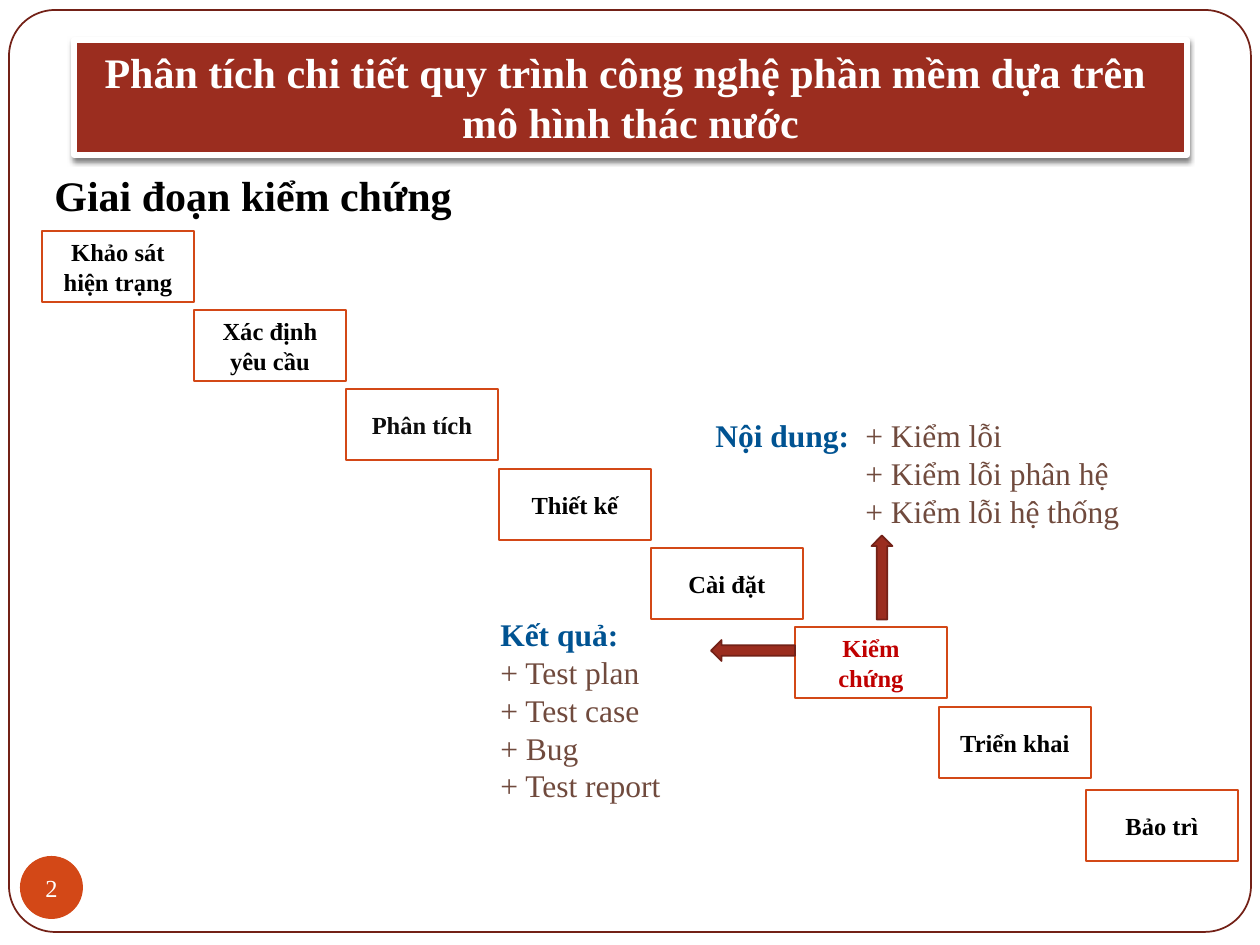
import pptx
import pptx.dml.color
import pptx.enum.shapes
import pptx.enum.text
import pptx.oxml
import pptx.oxml.ns
import pptx.util

SHAPE = pptx.enum.shapes.MSO_SHAPE
ALIGN = pptx.enum.text.PP_ALIGN
ANCHOR = pptx.enum.text.MSO_ANCHOR
EMU_PER_PX = 914400 / 126

WHITE, BLACK = "FFFFFF", "000000"
BRICK, DARK_BRICK, ORANGE = "9B2D1F", "732117", "D34817"
BLUE, BROWN, RED = "005392", "704A3D", "C00000"

SHADOW = (
    f'<a:effectLst {pptx.oxml.ns.nsdecls("a")}>'
    '<a:outerShdw blurRad="38100" dist="25400" dir="5400000" rotWithShape="0">'
    '<a:srgbClr val="000000"><a:alpha val="50000"/></a:srgbClr>'
    '</a:outerShdw></a:effectLst>'
)

STAGES = [
    (42, 231, "Khảo sát hiện trạng", BLACK),
    (194, 310, "Xác định yêu cầu", BLACK),
    (346, 389, "Phân tích", "0D0D0D"),
    (499, 469, "Thiết kế", BLACK),
    (651, 548, "Cài đặt", BLACK),
    (795, 627, "Kiểm chứng", RED),
    (939, 707, "Triển khai", BLACK),
    (1086, 790, "Bảo trì", BLACK),
]


def px(length):
    return pptx.util.Emu(round(length * EMU_PER_PX))


def color(value):
    return pptx.dml.color.RGBColor.from_string(value)


class SlideBuilder:
    font_name = "Times New Roman"

    def __init__(self, slide):
        self.slide = slide

    def shape(self, kind, bounds, fill, line=None, line_width=1, rotation=0):
        shape = self.slide.shapes.add_shape(kind, *map(px, bounds))
        shape.shadow.inherit = False
        shape.fill.solid()
        shape.fill.fore_color.rgb = color(fill)
        if line:
            shape.line.color.rgb = color(line)
            shape.line.width = pptx.util.Pt(line_width)
        else:
            shape.line.fill.background()
        shape.rotation = rotation
        return shape

    def style(self, span, size, ink, bold):
        span.font.name = self.font_name
        span.font.size = pptx.util.Pt(size)
        span.font.color.rgb = color(ink)
        span.font.bold = bold

    def label(self, shape, text, size, ink, bold=True, align=ALIGN.CENTER, anchor=ANCHOR.MIDDLE):
        frame = shape.text_frame
        frame.word_wrap = True
        frame.vertical_anchor = anchor
        frame.text = text
        for para in frame.paragraphs:
            para.alignment = align
            for span in para.runs:
                self.style(span, size, ink, bold)
        return frame

    def text_box(self, bounds, text, size, ink, bold=True, anchor=ANCHOR.TOP):
        box = self.slide.shapes.add_textbox(*map(px, bounds))
        return self.label(box, text, size, ink, bold, ALIGN.LEFT, anchor)

    def details(self, bounds, heading, items, indent=0):
        separator = "\t" if indent else "\n"
        frame = self.text_box(bounds, heading + separator + "\n".join(items), 18, BROWN, False)
        first = frame.paragraphs[0]
        if indent:
            first.text = heading
            item = first.add_run()
            item.text = separator + items[0]
            self.style(item, 18, BROWN, False)
            for para in frame.paragraphs:
                para._p.get_or_add_pPr().set("marL", str(px(indent)))
            first._p.get_or_add_pPr().set("indent", str(-px(indent)))
        self.style(first.runs[0], 18, BLUE, True)

    def stage(self, left, top, name, ink):
        box = self.shape(SHAPE.RECTANGLE, (left, top, 152, 71), WHITE, ORANGE)
        self.label(box, name, 14, ink)

    def arrow(self, left, top, rotation):
        self.shape(SHAPE.RIGHT_ARROW, (left, top, 84, 21), BRICK, DARK_BRICK, rotation=rotation)

    def title(self, bounds, text):
        banner = self.shape(SHAPE.RECTANGLE, bounds, BRICK, WHITE, 3)
        properties = banner._element.spPr
        properties.remove(properties.find(pptx.oxml.ns.qn("a:effectLst")))
        properties.append(pptx.oxml.parse_xml(SHADOW))
        self.label(banner, text, 24, WHITE, anchor=ANCHOR.TOP)

    def page_number(self, bounds, number):
        badge = self.shape(SHAPE.OVAL, bounds, ORANGE)
        frame = self.label(badge, number, 14, WHITE, False)
        frame.word_wrap = False
        frame.margin_left = frame.margin_right = frame.margin_top = frame.margin_bottom = 0


def main():
    deck = pptx.Presentation()
    deck.slide_width, deck.slide_height = px(1260), px(945)
    page = SlideBuilder(deck.slides.add_slide(deck.slide_layouts[6]))

    border = page.shape(SHAPE.ROUNDED_RECTANGLE, (9, 10, 1242, 922), WHITE, DARK_BRICK)
    border.adjustments[0] = 0.05
    for stage in STAGES:
        page.stage(*stage)
    page.arrow(840, 567, 270)
    page.details(
        (703, 410, 442, 127),
        "Nội dung:",
        ["+ Kiểm lỗi", "+ Kiểm lỗi phân hệ", "+ Kiểm lỗi hệ thống"],
        indent=150,
    )
    page.details(
        (488, 609, 212, 204),
        "Kết quả:",
        ["+ Test plan", "+ Test case", "+ Bug", "+ Test report"],
    )
    page.title(
        (74, 40, 1113, 115),
        "Phân tích chi tiết quy trình công nghệ phần mềm dựa trên \nmô hình thác nước",
    )
    page.arrow(711, 640, 180)
    page.page_number((20, 856, 63, 63), "2")
    page.text_box((42, 168, 598, 53), "Giai đoạn kiểm chứng", 24, BLACK, anchor=ANCHOR.MIDDLE)

    deck.save("out.pptx")


if __name__ == "__main__":
    main()
